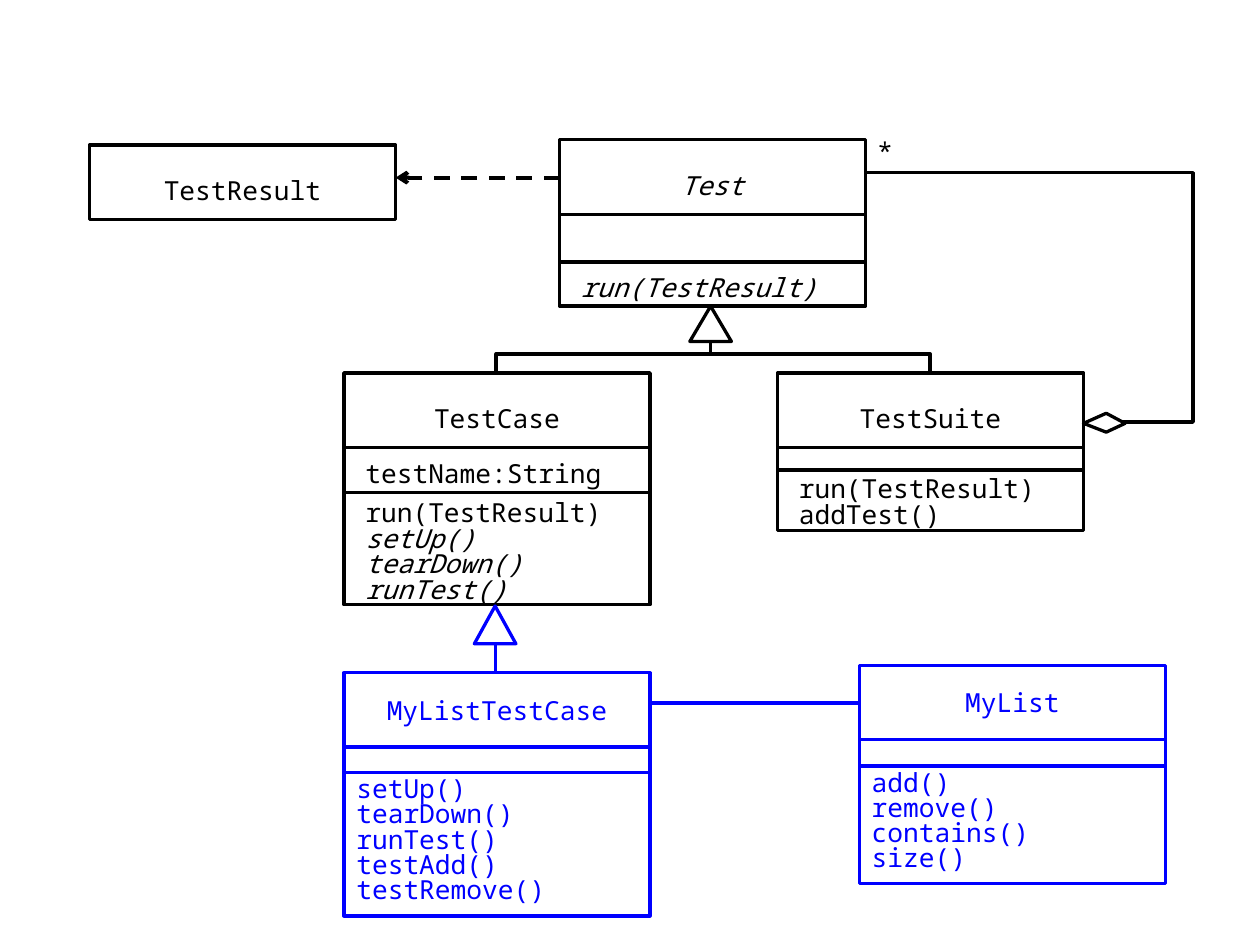
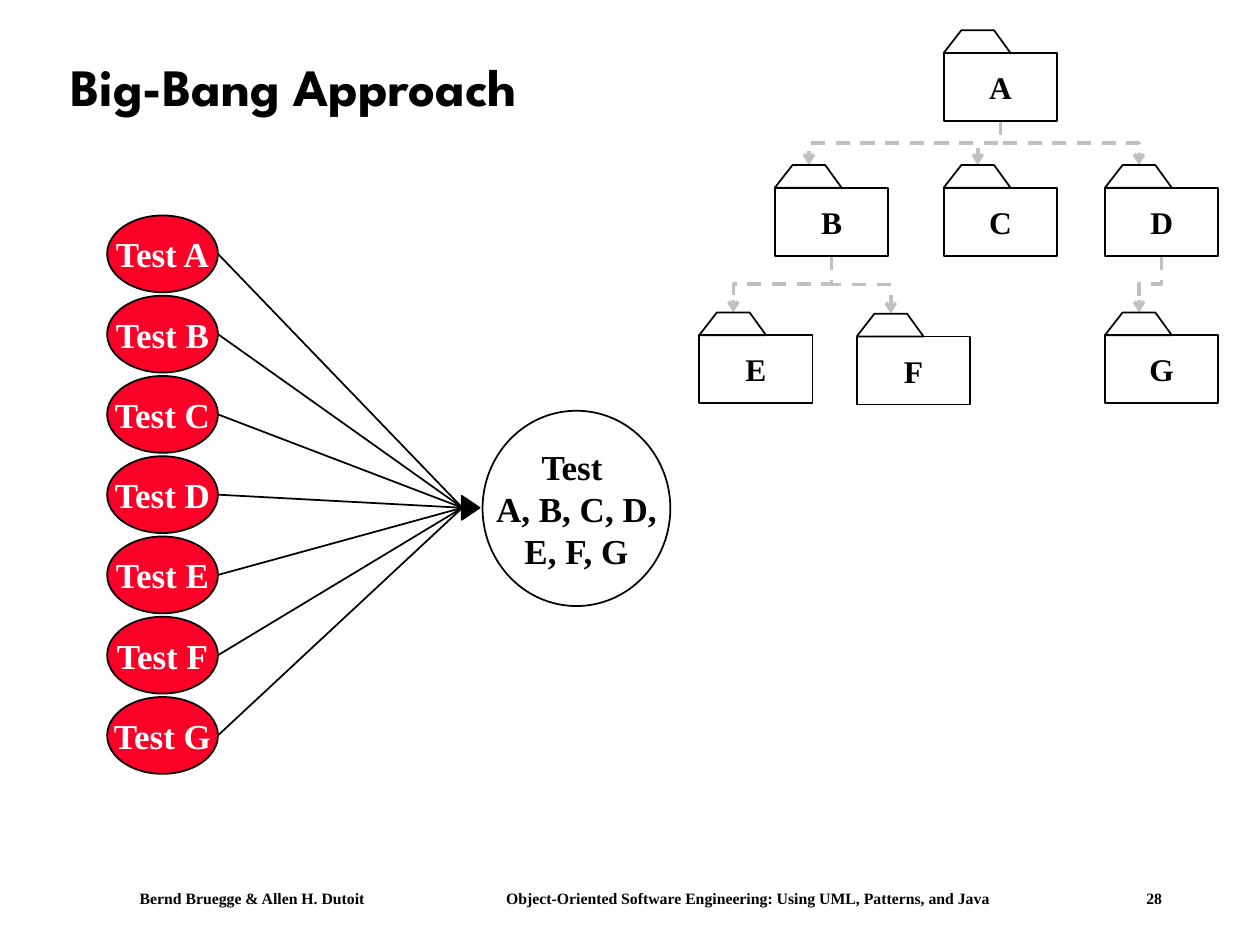
from dataclasses import dataclass

from lxml import etree
from pptx import Presentation
from pptx import util as u
from pptx.dml.color import RGBColor
from pptx.enum import dml, shapes, text
from pptx.oxml import ns

# The grid has 100 columns and 75 rows on a 10 x 7.5 inch slide
COLUMNS, ROWS = 100, 75
CELL = u.Inches(0.1)


@dataclass(frozen=True)
class Theme:
    black: RGBColor = RGBColor(0, 0, 0)
    white: RGBColor = RGBColor(255, 255, 255)
    blue: RGBColor = RGBColor(0, 0, 255)
    red: RGBColor = RGBColor(0xFC, 0x01, 0x28)
    silver: RGBColor = RGBColor(0xC0, 0xC0, 0xC0)
    code_font: str = "Noto Sans Mono"
    title_font: str = "League Spartan"
    body_font: str = "Times New Roman"
    footer_size: int = 9
    code_size: int = 15
    package_size: int = 18
    test_size: int = 20
    title_size: int = 30
    thin: float = 1
    dependency: float = 2
    outline: float = 1.88
    heavy: float = 2.25


THEME = Theme()


def cells(count):
    return round(count * CELL)


# Shared building elements
def set_line(item, color, width, dashed=False):
    item.line.color.rgb = color
    item.line.width = u.Pt(width)
    if dashed:
        item.line.dash_style = dml.MSO_LINE.DASH


def set_outline(shape, color, width, fill=None):
    shape.shadow.inherit = False
    if fill is None:
        shape.fill.background()
    else:
        shape.fill.solid()
        shape.fill.fore_color.rgb = fill
    set_line(shape, color, width)


def write(box, lines, font, size, color, bold=False, italics=(), align="CENTER",
          anchor="MIDDLE", spacing=None, wrap=False, insets=(1, 0.5, 1, 0.5)):
    frame = box.text_frame
    frame.word_wrap = wrap
    frame.vertical_anchor = text.MSO_ANCHOR[anchor]
    frame.margin_left, frame.margin_top, frame.margin_right, frame.margin_bottom = map(cells, insets)
    frame.text = "\n".join(lines)
    for para in frame.paragraphs:
        para.alignment = text.PP_ALIGN[align]
        if spacing:
            para.line_spacing = spacing
        for span in para.runs:
            span.font.name = font
            span.font.size = u.Pt(size)
            span.font.bold = bold
            span.font.italic = span.text in italics
            span.font.color.rgb = color


def add_text(page, left, top, width, height, lines, font, size, **options):
    box = page.shapes.add_textbox(*map(cells, (left, top, width, height)))
    write(box, lines, font, size, THEME.black, **options)
    return box


def add_preset(page, kind, left, top, width, height, color, line_width, fill=None):
    shape = page.shapes.add_shape(shapes.MSO_SHAPE[kind], *map(cells, (left, top, width, height)))
    set_outline(shape, color, line_width, fill)
    return shape


def add_outline(page, points, color, width, fill=None, close=True):
    corners = [(cells(x), cells(y)) for x, y in points]
    builder = page.shapes.build_freeform(*corners[0])
    builder.add_line_segments(corners[1:], close=close)
    set_outline(builder.convert_to_shape(), color, width, fill)


def add_link(page, kind, start, end, color, width, dashed=False, arrow=False):
    link = page.shapes.add_connector(shapes.MSO_CONNECTOR[kind], *map(cells, (*start, *end)))
    set_line(link, color, width, dashed)
    if arrow:
        etree.SubElement(link.line._get_or_add_ln(), ns.qn("a:tailEnd"), type="arrow")
    etree.SubElement(link._element.spPr, ns.qn("a:effectLst"))
    return link


def add_elbow(page, start, end, color, width, corners=2, **options):
    """Bent connector that leaves its start vertically."""
    across, down = end[0] - start[0], end[1] - start[1]
    middle_x, middle_y = (start[0] + end[0]) / 2, (start[1] + end[1]) / 2
    near, far = middle_x - abs(down) / 2, middle_x + abs(down) / 2
    if (across > 0) == (down > 0):
        near, far = far, near
    link = add_link(page, "ELBOW", (near, middle_y - abs(across) / 2),
                    (far, middle_y + abs(across) / 2), color, width, **options)
    properties = link._element.spPr
    turn = 270 if across > 0 else 90
    properties.find(ns.qn("a:xfrm")).set("rot", str(turn * 60000))
    properties.find(ns.qn("a:prstGeom")).set("prst", f"bentConnector{corners + 1}")


# Class diagram elements
CLASS_WIDTH, NAME_HEIGHT = 24.3, 5.9


def add_class(page, left, top, name, parts=(), color=THEME.black, italics=(),
              name_drop=1.2, indent=1.7):
    """Class box; each part is (height, text lines, space above the text)."""
    def compartment(row, height):
        return add_preset(page, "RECTANGLE", left, row, CLASS_WIDTH, height, color, THEME.outline)

    font = (THEME.code_font, THEME.code_size, color)
    write(compartment(top, NAME_HEIGHT), [name], *font, italics=italics,
          insets=(0, name_drop, 0, 0))
    row = top + NAME_HEIGHT
    for height, lines, drop in parts:
        box = compartment(row, height)
        if lines:
            write(box, lines, *font, italics=italics, align="LEFT", anchor="TOP",
                  spacing=0.82 if color == THEME.black else 0.8,
                  insets=(indent, drop, 0, 0))
        row += height


def add_inheritance(page, x, apex, base, stem_end, color):
    add_outline(page, [(x, apex), (x + 1.65, base), (x - 1.65, base)], color, THEME.outline)
    add_link(page, "STRAIGHT", (x, stem_end), (x, base), color, THEME.outline)


def build_class_diagram(page):
    black, blue = THEME.black, THEME.blue
    run = "run(TestResult)"
    hooks = ["setUp()", "tearDown()", "runTest()"]

    # Framework classes
    add_class(page, 7.1, 11.5, "TestResult")
    add_class(page, 44.4, 11.1, "Test", [(3.8, [], 0), (3.5, [run], 1.2)],
              italics=("Test", run))
    add_class(page, 27.3, 29.6, "TestCase",
              [(3.6, ["testName:String"], 1.2), (8.9, [run, *hooks], 0.7)], italics=hooks)
    add_class(page, 61.7, 29.6, "TestSuite",
              [(1.8, [], 0), (4.8, [run, "addTest()"], 0.6)])

    # User classes
    user = dict(color=blue, name_drop=0, indent=1)
    add_class(page, 27.3, 53.4, "MyListTestCase",
              [(2, [], 0), (11.4, [*hooks, "testAdd()", "testRemove()"], 0.5)], **user)
    add_class(page, 68.2, 52.8, "MyList",
              [(2.1, [], 0), (9.3, ["add()", "remove()", "contains()", "size()"], 0.5)], **user)

    # Inheritance
    add_inheritance(page, 56.4, 24.3, 27.1, 28.1, black)
    add_inheritance(page, 39.3, 48.1, 51.1, 53.4, blue)
    for x in (39.4, 73.8):
        add_elbow(page, (x, 29.5), (56.4, 28.1), black, THEME.heavy, corners=1)

    # Aggregation and associations
    add_outline(page, [(87.3, 33.5), (94.7, 33.5), (94.7, 13.7), (68.6, 13.7)],
                black, THEME.outline, close=False)
    add_outline(page, [(87.8, 32.8), (86, 33.6), (87.8, 34.3), (89.3, 33.6)],
                black, THEME.outline, fill=THEME.white)
    add_text(page, 68.6, 10.2, 3.3, 3.5, ["*"], THEME.code_font, THEME.code_size)
    add_link(page, "STRAIGHT", (44.4, 14.1), (31.4, 14.1), black, THEME.heavy,
             dashed=True, arrow=True)
    add_link(page, "STRAIGHT", (68.2, 55.8), (51.6, 55.8), blue, THEME.heavy)


# Integration testing elements
PACKAGES = {"A": (74.9, 4.2), "B": (61.5, 14.9), "C": (74.9, 14.9), "D": (87.7, 14.9),
            "E": (55.5, 26.6), "F": (68, 26.7), "G": (87.7, 26.6)}
DEPENDENCIES = ["AB", "AC", "AD", "BE", "BF", "DG"]
PACKAGE_WIDTH, PACKAGE_HEIGHT, TAB_HEIGHT = 9, 5.4, 1.8


def add_package(page, name, left, top):
    box = add_preset(page, "RECTANGLE", left, top, PACKAGE_WIDTH, PACKAGE_HEIGHT,
                     THEME.black, THEME.thin)
    write(box, [name], THEME.body_font, THEME.package_size, THEME.black, bold=True)
    roof = top - TAB_HEIGHT
    add_outline(page, [(left, top), (left + 1.4, roof), (left + 4, roof), (left + 5.3, top)],
                THEME.black, THEME.thin)


def add_dependency(page, user, used):
    (left, top), (used_left, used_top) = PACKAGES[user], PACKAGES[used]
    add_elbow(page, (left + PACKAGE_WIDTH / 2, top + PACKAGE_HEIGHT),
              (used_left + 2.7, used_top - TAB_HEIGHT), THEME.silver, THEME.dependency,
              dashed=True, arrow=True)


def add_bubble(page, left, top, width, height, lines, color, fill=None):
    bubble = add_preset(page, "OVAL", left, top, width, height, THEME.black, THEME.thin, fill)
    write(bubble, lines, THEME.body_font, THEME.test_size, color, bold=True)


def add_title(page, title):
    add_text(page, 4.6, 2.4, 89.2, 9.4, [title], THEME.title_font, THEME.title_size,
             bold=True, align="LEFT", spacing=0.9, wrap=True)


def add_footer(page, authors, book, number):
    box = add_text(page, 10.1, 70, 87.4, 2.5, ["\t".join((authors, book, number))],
                   THEME.body_font, THEME.footer_size, bold=True, align="LEFT", wrap=True)
    properties = box.text_frame.paragraphs[0]._p.get_or_add_pPr()
    stops = etree.SubElement(properties, ns.qn("a:tabLst"))
    for column in (29.1, 79.9):
        etree.SubElement(stops, ns.qn("a:tab"), pos=str(cells(column)), algn="l")


def build_big_bang(page):
    add_title(page, "Big-Bang Approach")
    add_footer(page, "Bernd Bruegge & Allen H. Dutoit",
               "Object-Oriented Software Engineering: Using UML, Patterns, and Java", "28")

    # Package hierarchy
    for user, used in DEPENDENCIES:
        add_dependency(page, user, used)
    for name, corner in PACKAGES.items():
        add_package(page, name, *corner)

    # Unit tests that meet in one integration test
    left, first_top, pitch, width, height = 8.5, 17.1, 6.37, 8.8, 6.1
    for row, name in enumerate(PACKAGES):
        top = first_top + row * pitch
        add_bubble(page, left, top, width, height, [f"Test {name}"], THEME.white, THEME.red)
        add_link(page, "STRAIGHT", (left + width, top + height / 2), (36.7, 40.3),
                 THEME.black, THEME.thin)
    add_bubble(page, 38.3, 32.6, 14.9, 15.5, ["Test ", "A, B, C, D,", "E, F, G"], THEME.black)
    arrowhead = add_preset(page, "ISOSCELES_TRIANGLE", 36.4, 39.6, 1.9, 1.4,
                           THEME.black, THEME.thin, THEME.black)
    arrowhead.rotation = 90


def main():
    deck = Presentation()
    deck.slide_width, deck.slide_height = cells(COLUMNS), cells(ROWS)
    blank = deck.slide_layouts[6]
    for build in (build_class_diagram, build_big_bang):
        build(deck.slides.add_slide(blank))
    deck.save("out.pptx")


if __name__ == "__main__":
    main()
